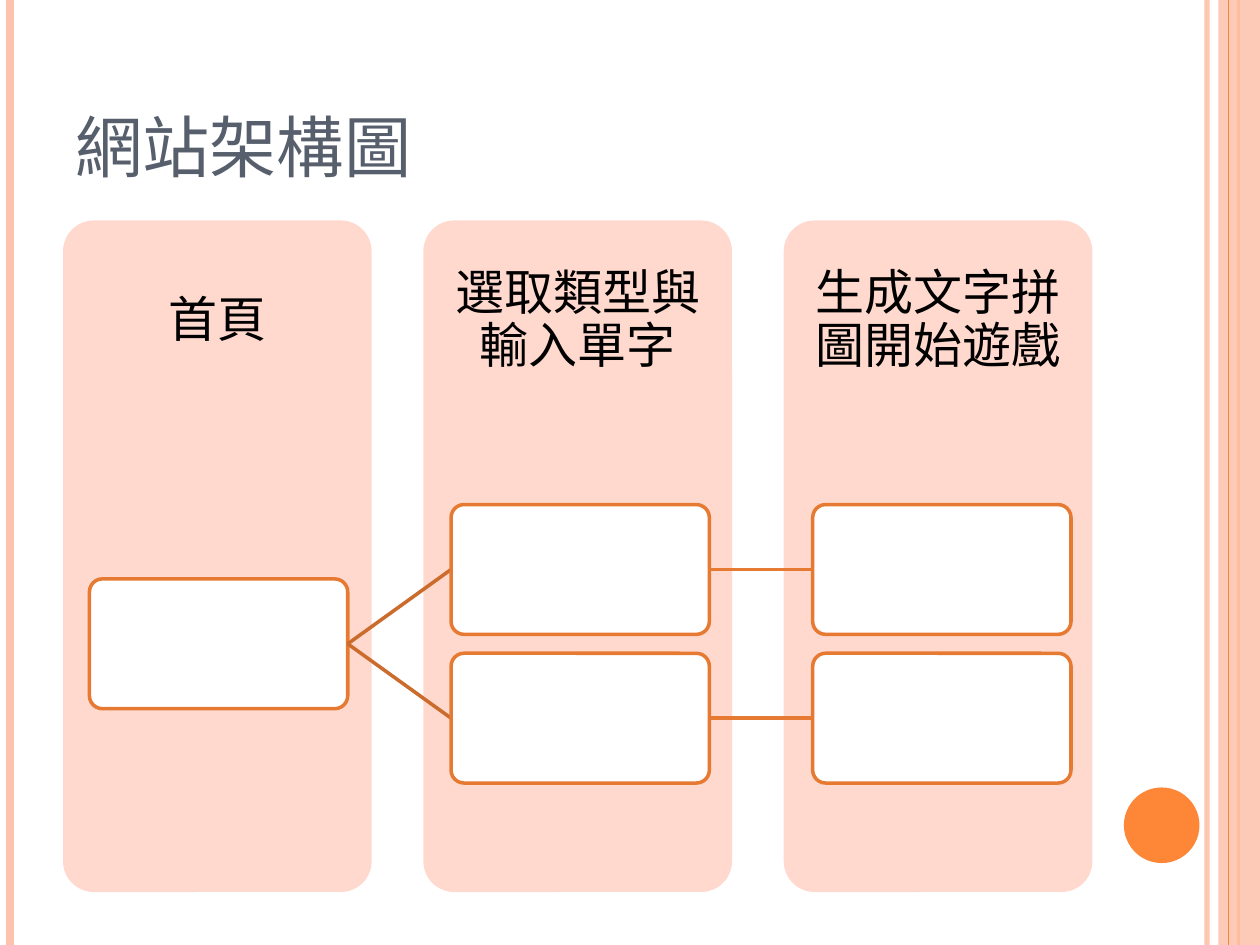
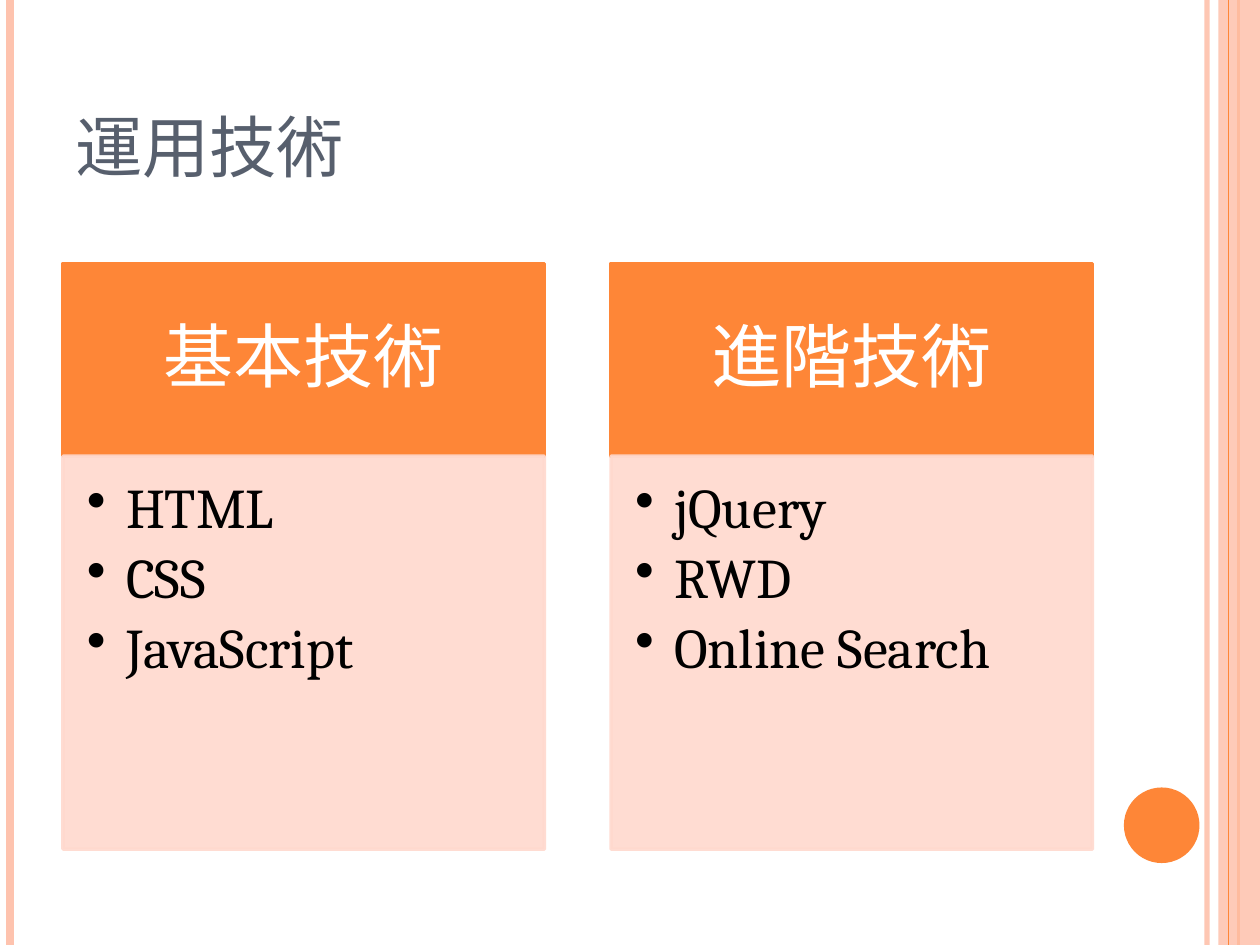
from pptx import Presentation, util as u
from pptx.dml.color import RGBColor
from pptx.enum import shapes, text
from pptx.oxml import ns, xmlchemy

# Shared look
ORANGE = RGBColor(0xFE, 0x86, 0x37)
PEACH = RGBColor(0xFE, 0xC3, 0xAE)
PALE = RGBColor(0xFF, 0xD9, 0xCE)
BORDER = RGBColor(0xE7, 0x7A, 0x32)
BRANCH = RGBColor(0xCB, 0x6B, 0x2C)
SLATE = RGBColor(0x57, 0x5F, 0x6D)
WHITE = RGBColor(0xFF, 0xFF, 0xFF)
BLACK = RGBColor(0, 0, 0)
CJK = "Noto Sans CJK SC"
LATIN = "Cambria"
WIDTH, HEIGHT = 10, 7.5
LEFT, CONTENT_WIDTH = 0.5, 8.17

RECT = shapes.MSO_SHAPE.RECTANGLE
ROUND = shapes.MSO_SHAPE.ROUNDED_RECTANGLE
OVAL = shapes.MSO_SHAPE.OVAL
MIDDLE = text.MSO_ANCHOR.MIDDLE
CENTER = text.PP_ALIGN.CENTER


def add_child(parent, tag, **attributes):
    child = xmlchemy.OxmlElement(tag)
    for name, value in attributes.items():
        child.set(name, str(value))
    parent.append(child)


def set_alpha(element, percent):
    """Make every solid colour inside an element partly transparent."""
    for color in element.iter(ns.qn("a:srgbClr")):
        add_child(color, "a:alpha", val=percent * 1000)


def add_box(slide, kind, box, fill, line=None, alpha=None):
    shape = slide.shapes.add_shape(kind, *map(u.Inches, box))
    shape.shadow.inherit = False
    if kind == ROUND:
        shape.adjustments[0] = 0.1
    shape.fill.solid()
    shape.fill.fore_color.rgb = fill
    if line is None:
        shape.line.fill.background()
    else:
        shape.line.color.rgb = line
        shape.line.width = u.Pt(2)
    if alpha:
        set_alpha(shape._element.spPr, alpha)
    return shape


def add_line(slide, start, end, color, width, alpha=None):
    line = slide.shapes.add_connector(
        shapes.MSO_CONNECTOR.STRAIGHT, *map(u.Inches, (*start, *end)))
    line.line.color.rgb = color
    line.line.width = u.Pt(width)
    properties = line._element.spPr
    if alpha:
        set_alpha(properties, alpha)
    add_child(properties, "a:effectLst")


def write(shape, lines, size, color, font=CJK, anchor=MIDDLE, align=CENTER,
          insets=(0.1, 0.05, 0.1, 0.05), spacing=0.9):
    """Fill a shape with paragraphs of one style and return them."""
    frame = shape.text_frame
    frame.word_wrap = True
    frame.vertical_anchor = anchor
    (frame.margin_left, frame.margin_top,
     frame.margin_right, frame.margin_bottom) = map(u.Inches, insets)
    frame.text = "\n".join(lines)
    for paragraph in frame.paragraphs:
        paragraph.alignment = align
        paragraph.line_spacing = spacing
        paragraph.font.size = u.Pt(size)
        paragraph.font.color.rgb = color
        paragraph.font.name = font
        add_child(paragraph.font._element, "a:ea", typeface=font)
    return frame.paragraphs


def add_text(slide, box, lines, size, color, **style):
    shape = slide.shapes.add_textbox(*map(u.Inches, box))
    return write(shape, lines, size, color, **style)


def add_bullets(paragraphs, indent, gap):
    for paragraph in paragraphs:
        paragraph.space_after = u.Pt(gap)
        properties = paragraph._p.get_or_add_pPr()
        properties.set("marL", str(u.Inches(indent)))
        properties.set("indent", str(-u.Inches(indent)))
        bullet = xmlchemy.OxmlElement("a:buChar")
        bullet.set("char", "•")
        properties.find(ns.qn("a:defRPr")).addprevious(bullet)


def add_base_slide(presentation, title):
    """Blank slide with side bands, corner dot and title."""
    slide = presentation.slides.add_slide(presentation.slide_layouts[6])

    def rule(x, color, width, alpha=None):
        add_line(slide, (x, 0), (x, HEIGHT), color, width, alpha)

    rule(9.58, PEACH, 3, 93)
    rule(0.08, PEACH, 4.5)
    rule(9.83, ORANGE, 1.5)
    add_box(slide, RECT, (9.67, 0, 0.33, HEIGHT), PEACH, alpha=87)
    rule(9.75, ORANGE, 0.75)
    add_box(slide, OVAL, (8.92, 6.25, 0.6, 0.6), ORANGE)

    heading, = add_text(slide, (LEFT, 0.3, CONTENT_WIDTH, 1.25), [title], 48, SLATE,
                        anchor=text.MSO_ANCHOR.BOTTOM,
                        align=text.PP_ALIGN.LEFT, spacing=1.0)
    heading.font._element.set("cap", "small")
    return slide


def build_site_map(presentation):
    slide = add_base_slide(presentation, "網站架構圖")

    # Three stage columns
    top, width, pitch = 1.75, 2.45, 2.86
    for column, label in enumerate(("首頁", "選取類型與輸入單字", "生成文字拼圖開始遊戲")):
        x = LEFT + column * pitch
        add_box(slide, ROUND, (x, top, width, 5.33), PALE)
        add_text(slide, (x, top, width, 1.6), [label], 28, BLACK, insets=(0.22,) * 4)

    # Page nodes: one home page, then two rows of two pages
    node_width, node_height, node_pitch, row_pitch = 2.05, 1.03, 2.87, 1.18

    def node_left(column):
        return 0.71 + column * node_pitch

    def node_middle(row):
        return 4.52 + row * row_pitch

    def add_node(column, row):
        add_box(slide, ROUND, (node_left(column), node_middle(row) - node_height / 2,
                               node_width, node_height), WHITE, BORDER)

    def link(column, start_row, end_row, color):
        add_line(slide, (node_left(column) + node_width, node_middle(start_row)),
                 (node_left(column + 1), node_middle(end_row)), color, 2)

    add_node(0, 0.5)
    for row in range(2):
        link(0, 0.5, row, BRANCH)
        add_node(1, row)
        link(1, row, row, BORDER)
        add_node(2, row)


def build_techniques(presentation):
    slide = add_base_slide(presentation, "運用技術")
    groups = (("基本技術", ("HTML", "CSS", "JavaScript")),
              ("進階技術", ("jQuery", "RWD", "Online Search")))
    top, width, head_height, body_height = 2.09, 3.82, 1.53, 3.12

    for column, (label, items) in enumerate(groups):
        x = LEFT + column * (CONTENT_WIDTH - width)
        head = add_box(slide, RECT, (x, top, width, head_height), ORANGE, ORANGE)
        write(head, [label], 40, WHITE, insets=(0.31, 0.18, 0.31, 0.18))
        body = add_box(slide, RECT, (x, top + head_height, width, body_height),
                       PALE, PALE, alpha=90)
        paragraphs = write(body, items, 32, BLACK, font=LATIN,
                           anchor=text.MSO_ANCHOR.TOP, align=text.PP_ALIGN.LEFT,
                           insets=(0.19, 0.19, 0.25, 0.28))
        add_bullets(paragraphs, 0.31, 5.5)


def main():
    presentation = Presentation()
    presentation.slide_width = u.Inches(WIDTH)
    presentation.slide_height = u.Inches(HEIGHT)
    build_site_map(presentation)
    build_techniques(presentation)
    presentation.save("out.pptx")


main()
